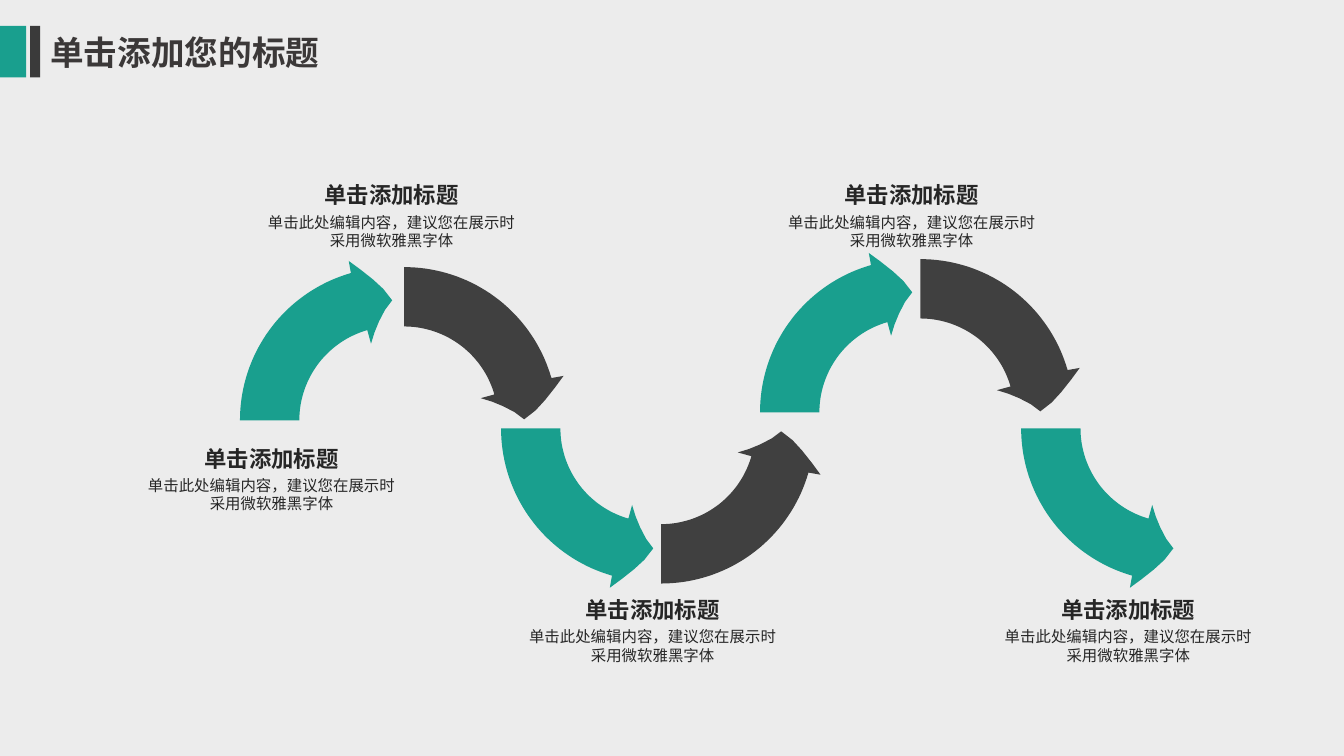
from math import cos, radians, sin

from lxml import etree
from pptx import Presentation
from pptx import util as u
from pptx.dml.color import RGBColor
from pptx.enum import shapes, text
from pptx.oxml.ns import qn

Pt = u.Pt
TEAL = RGBColor(0x19, 0x9F, 0x8E)
DARK = RGBColor(0x40, 0x40, 0x40)
BAR = RGBColor(0x3A, 0x3A, 0x3A)
INK = RGBColor(0x26, 0x26, 0x26)
TITLE_INK = RGBColor(0x3B, 0x38, 0x38)
PAPER = RGBColor(0xEC, 0xEC, 0xEC)
CJK, LATIN = "Noto Sans CJK SC", "Arial"

# Content
TITLE = "单击添加您的标题"
HEADING = "单击添加标题"
BODY = "单击此处编辑内容，建议您在展示时采用微软雅黑字体"
LABELS = [  # centre x, top
    (279.7, 126), (651.2, 126), (806, 422), (466.2, 422), (194, 314)]
BARS = [(0, 18.7, TEAL), (21.6, 7.2, BAR)]  # left, width, colour
ARROWS = [  # arc centre x, y, direction x, y, starts at the vertical axis, colour
    (280.8, 300.2, -1, -1, False, TEAL),
    (288.7, 300.2, 1, -1, True, DARK),
    (467.3, 306, -1, 1, False, TEAL),
    (472.3, 307.4, 1, 1, True, DARK),
    (652.3, 294.5, -1, -1, False, TEAL),
    (657.4, 294.5, 1, -1, True, DARK),
    (838.8, 306, -1, 1, False, TEAL),
]

# Formats
TITLE_FONT = {"size": Pt(24), "bold": True, "name": CJK}
HEADING_FONT = {"size": Pt(16), "bold": True, "name": CJK}
BODY_FONT = {"size": Pt(11), "bold": False, "name": LATIN}
LINE_HEIGHT = 1.21

# Arrow outline around its arc centre
OUTER, INNER, SWEEP, STEP = 109.4, 67, 74, 2
HEAD = [(31.7, 113.8), (23.5, 107.8), (14.4, 100.6), (7, 93.8), (0.7, 85.7),
        (5.8, 78.9), (10.1, 70.6), (13.3, 62.8), (15.8, 54.7)]


def arc(radius):
    return [(radius * cos(radians(a)), radius * sin(radians(a)))
            for a in range(0, SWEEP + 1, STEP)]


OUTLINE = arc(OUTER) + HEAD + arc(INNER)[::-1]


def paint(sp, colour):
    sp.shadow.inherit = False
    sp.fill.solid()
    sp.fill.fore_color.rgb = colour
    sp.line.fill.background()


def add_arrow(s, cx, cy, dx, dy, swap, colour):
    pts = [(v, w) if swap else (w, v) for w, v in OUTLINE]
    pts = [(Pt(cx + dx * x), Pt(cy + dy * y)) for x, y in pts]
    fb = s.shapes.build_freeform(*pts[0], scale=1.0)
    fb.add_line_segments(pts[1:], close=True)
    paint(fb.convert_to_shape(), colour)


def write(sp, words, font, colour, align, wrap=True):
    tf = sp.text_frame
    tf.word_wrap = wrap
    p = tf.paragraphs[0]
    p.alignment = align
    p.line_spacing = Pt(LINE_HEIGHT * font["size"].pt)
    r = p.add_run()
    r.text = words
    for name, value in font.items():
        setattr(r.font, name, value)
    r.font.color.rgb = colour
    if font["name"] == CJK:  # East Asian typeface
        etree.SubElement(r.font._element, qn("a:ea"), typeface=CJK)


def add_label(s, cx, top):
    rows = [(HEADING, HEADING_FONT, 111.6, 0, 26.6, False),
            (BODY, BODY_FONT, 198, 22.3, 33.8, True)]
    for words, font, width, dy, height, wrap in rows:
        sp = s.shapes.add_textbox(Pt(cx - width / 2), Pt(top + dy), Pt(width), Pt(height))
        write(sp, words, font, INK, text.PP_ALIGN.CENTER, wrap)


def main():
    prs = Presentation()
    prs.slide_width, prs.slide_height = Pt(960), Pt(540)
    s = prs.slides.add_slide(prs.slide_layouts[5])
    s.background.fill.solid()
    s.background.fill.fore_color.rgb = PAPER

    # Title and its bars
    for left, width, colour in BARS:
        sp = s.shapes.add_shape(shapes.MSO_SHAPE.RECTANGLE,
                                Pt(left), Pt(18.5), Pt(width), Pt(36.7))
        paint(sp, colour)
    title = s.shapes.title
    place = {"left": 28.8, "top": 18.7, "width": 215.3, "height": 36}
    for name, value in place.items():
        setattr(title, name, Pt(value))
    title.text_frame.vertical_anchor = text.MSO_ANCHOR.TOP
    write(title, TITLE, TITLE_FONT, TITLE_INK, text.PP_ALIGN.JUSTIFY)

    # Wave of arrows and its labels
    for arrow in ARROWS:
        add_arrow(s, *arrow)
    for label in LABELS:
        add_label(s, *label)

    prs.save("out.pptx")


if __name__ == "__main__":
    main()
